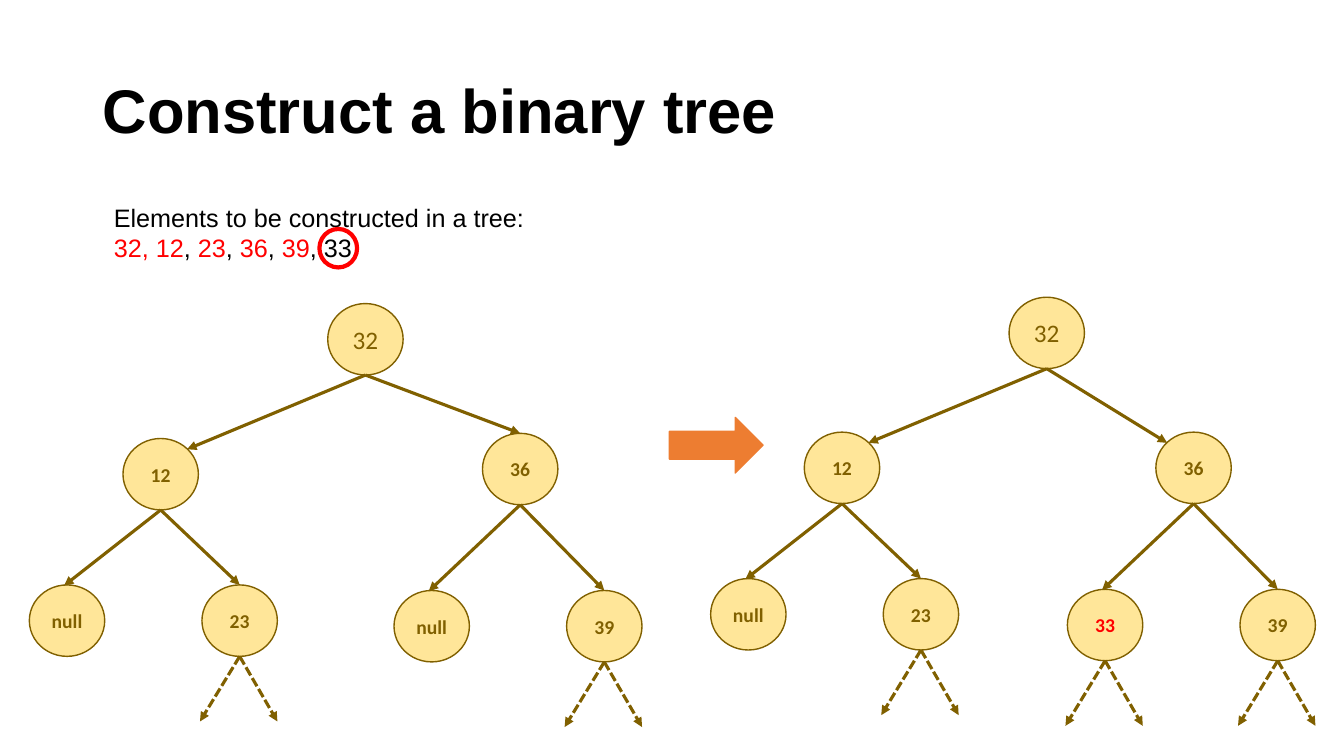
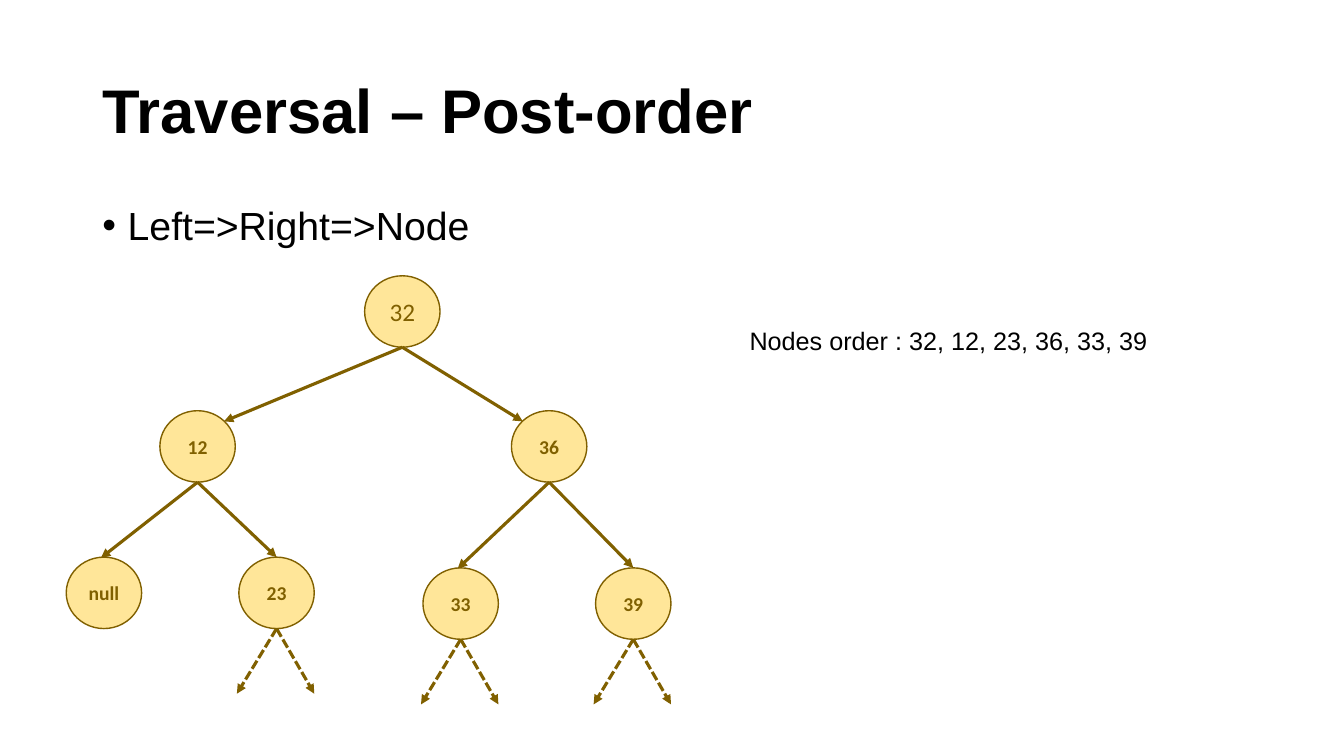
from collections import namedtuple

from lxml import etree
from pptx import Presentation
from pptx.dml.color import RGBColor
from pptx.enum.dml import MSO_LINE_DASH_STYLE as Dash
from pptx.enum.shapes import MSO_CONNECTOR as Connector
from pptx.enum.shapes import MSO_SHAPE as Shape
from pptx.enum.text import MSO_ANCHOR as Anchor
from pptx.enum.text import MSO_AUTO_SIZE as AutoSize
from pptx.enum.text import PP_ALIGN as Align
from pptx.oxml.ns import qn
from pptx.util import Cm, Pt

BLACK = RGBColor(0x00, 0x00, 0x00)
RED = RGBColor(0xFF, 0x00, 0x00)
SAND = RGBColor(0xFF, 0xE6, 0x99)
BRONZE = RGBColor(0x80, 0x60, 0x00)
ORANGE = RGBColor(0xED, 0x7D, 0x31)

HEADING_FONT = "Arial"
NODE_FONT = "Calibri"
NODE_WIDTH, NODE_HEIGHT = 1.9, 1.8
TOP_LEFT, TOP, TOP_RIGHT = (0.15, 0.15), (0.5, 0), (0.85, 0.15)
LEAF_LEFT = (0.46, 0.01)
STUB_LEFT, STUB_RIGHT, STUB_DROP = -1.0, 0.95, 1.64

Node = namedtuple("Node", "x y entry parent")
LAYOUT = {
    "root": Node(0, 0, None, None),
    "left": Node(-5.16, 3.4, TOP_RIGHT, "root"),
    "right": Node(3.7, 3.4, TOP_LEFT, "root"),
    "left.left": Node(-7.52, 7.09, LEAF_LEFT, "left"),
    "left.right": Node(-3.17, 7.09, TOP, "left"),
    "right.left": Node(1.47, 7.36, LEAF_LEFT, "right"),
    "right.right": Node(5.82, 7.36, TOP, "right"),
}


def write(frame, *paragraphs, size=18, color=BLACK, font=HEADING_FONT, bold=False,
          align=Align.LEFT, anchor=Anchor.TOP, wrap=False, line_spacing=None, bullet=None):
    frame.word_wrap = wrap
    frame.auto_size = AutoSize.NONE
    frame.vertical_anchor = anchor
    for index, content in enumerate(paragraphs):
        paragraph = frame.add_paragraph() if index else frame.paragraphs[0]
        paragraph.alignment = align
        if line_spacing:
            paragraph.line_spacing = line_spacing
        if bullet:
            add_bullet(paragraph, bullet)
        pieces = [(content, color)] if isinstance(content, str) else content
        for words, tint in pieces:
            run = paragraph.add_run()
            run.text = words
            run.font.name = font
            run.font.size = Pt(size)
            run.font.bold = bold
            run.font.color.rgb = tint


def add_bullet(paragraph, symbol):
    properties = paragraph._p.get_or_add_pPr()
    properties.set("marL", str(Cm(0.64)))
    properties.set("indent", str(-Cm(0.64)))
    etree.SubElement(properties, qn("a:buFont")).set("typeface", HEADING_FONT)
    etree.SubElement(properties, qn("a:buChar")).set("char", symbol)


def add_titled_slide(deck, heading):
    slide = deck.slides.add_slide(deck.slide_layouts[5])
    title = slide.shapes.title
    title.left, title.top, title.width, title.height = Cm(2.33), Cm(1.01), Cm(29.21), Cm(3.68)
    write(title.text_frame, heading, size=44, bold=True, anchor=Anchor.MIDDLE,
          wrap=True, line_spacing=0.9)
    return slide


def add_text(slide, x, y, width, height, *paragraphs, **style):
    box = slide.shapes.add_textbox(Cm(x), Cm(y), Cm(width), Cm(height))
    write(box.text_frame, *paragraphs, **style)


def add_figure(slide, kind, x, y, width, height, fill, line, weight=1):
    figure = slide.shapes.add_shape(kind, Cm(x), Cm(y), Cm(width), Cm(height))
    figure.shadow.inherit = False
    if fill is None:
        figure.fill.background()
    else:
        figure.fill.solid()
        figure.fill.fore_color.rgb = fill
    figure.line.color.rgb = line
    figure.line.width = Pt(weight)
    return figure


def add_arrow(slide, start, end, dashed=False):
    arrow = slide.shapes.add_connector(Connector.STRAIGHT, *map(Cm, start + end))
    arrow.line.color.rgb = BRONZE
    arrow.line.width = Pt(2.25)
    if dashed:
        arrow.line.dash_style = Dash.SQUARE_DOT
    etree.SubElement(arrow.line._get_or_add_ln(), qn("a:tailEnd")).set("type", "triangle")
    etree.SubElement(arrow._element.spPr, qn("a:effectLst"))


def add_node(slide, x, y, label, is_root, color):
    circle = add_figure(slide, Shape.OVAL, x, y, NODE_WIDTH, NODE_HEIGHT, SAND, BRONZE)
    write(circle.text_frame, label, size=18 if is_root else 14, color=color, font=NODE_FONT,
          bold=not is_root, align=Align.CENTER, anchor=Anchor.MIDDLE)


def add_tree(slide, x, y, labels, added=None, right_shift=(0, 0), right_entry=TOP_LEFT):
    bottoms = {}
    for (position, node), label in zip(LAYOUT.items(), labels):
        shift_x, shift_y = right_shift if position.startswith("right") else (0, 0)
        left, top = x + node.x + shift_x, y + node.y + shift_y
        add_node(slide, left, top, label, node.parent is None, RED if label == added else BRONZE)
        bottom = bottoms[position] = (left + NODE_WIDTH / 2, top + NODE_HEIGHT)
        if node.parent:
            entry_x, entry_y = right_entry if position == "right" else node.entry
            add_arrow(slide, bottoms[node.parent],
                      (left + entry_x * NODE_WIDTH, top + entry_y * NODE_HEIGHT))
        if "." in position and label != "null":
            for reach in (STUB_LEFT, STUB_RIGHT):
                add_arrow(slide, bottom, (bottom[0] + reach, bottom[1] + STUB_DROP), dashed=True)


def build_construction(deck):
    slide = add_titled_slide(deck, "Construct a binary tree")
    elements = [("32, 12", RED), (", ", BLACK), ("23", RED), (", ", BLACK), ("36", RED),
                (", ", BLACK), ("39", RED), (", 33", BLACK)]
    add_text(slide, 2.62, 4.98, 10.95, 1.8, "Elements to be constructed in a tree:", elements)
    add_figure(slide, Shape.OVAL, 8.05, 5.77, 0.95, 0.97, None, RED, weight=3)
    add_tree(slide, 8.26, 7.65, ["32", "12", "36", "null", "23", "null", "39"],
             right_shift=(0.2, -0.13), right_entry=TOP)
    add_figure(slide, Shape.RIGHT_ARROW, 16.87, 10.52, 2.36, 1.4, ORANGE, ORANGE)
    add_tree(slide, 25.43, 7.49, ["32", "12", "36", "null", "23", "33", "39"], added="33")


def build_traversal(deck):
    slide = add_titled_slide(deck, "Traversal – Post-order")
    add_text(slide, 2.33, 5.08, 29.21, 12.09, "Left=>Right=>Node", size=28, wrap=True,
             line_spacing=0.9, bullet="•")
    add_tree(slide, 9.19, 6.95, ["32", "12", "36", "null", "23", "33", "39"])
    add_text(slide, 18.64, 8.08, 10.62, 1.02, "Nodes order : 32, 12, 23, 36, 33, 39")


def main():
    deck = Presentation()
    deck.slide_width, deck.slide_height = Cm(33.87), Cm(19.05)
    build_construction(deck)
    build_traversal(deck)
    deck.save("out.pptx")


if __name__ == "__main__":
    main()
